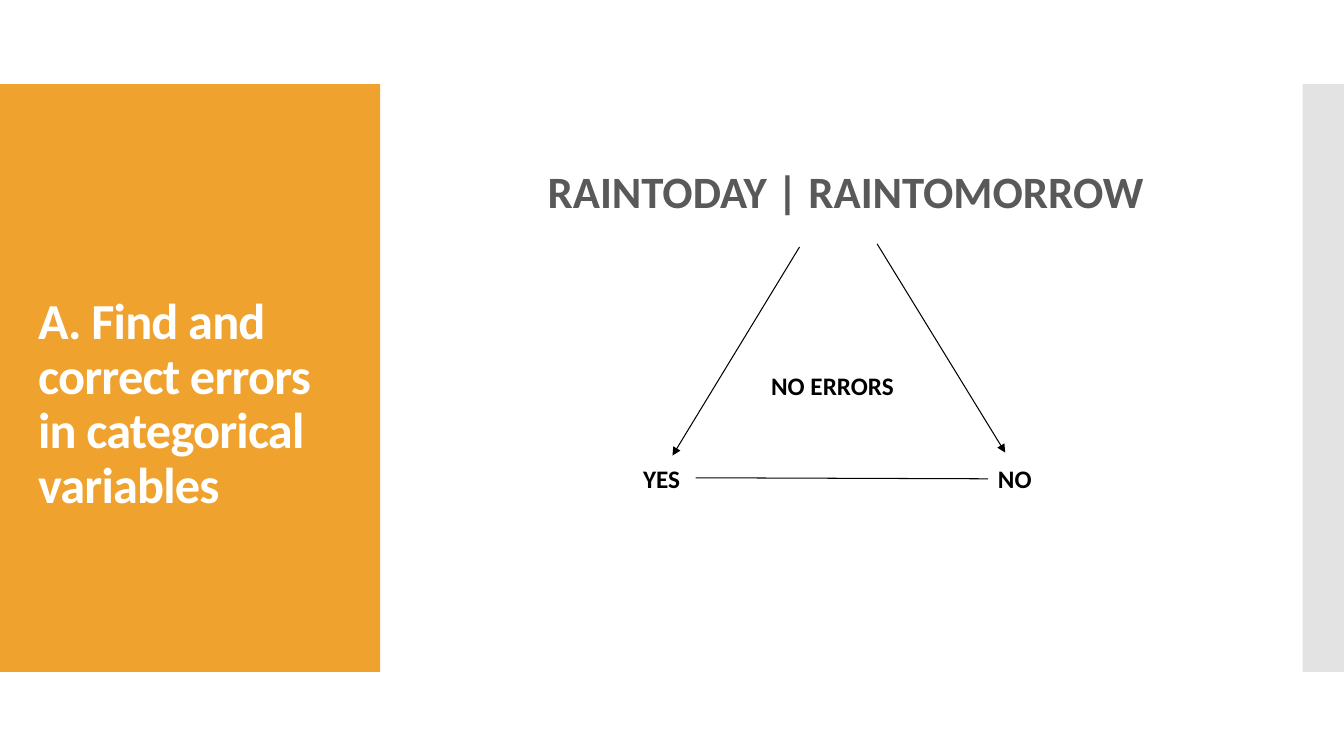
from pptx import Presentation
from pptx.dml.color import RGBColor
from pptx.enum.shapes import MSO_CONNECTOR, MSO_SHAPE
from pptx.enum.text import MSO_ANCHOR, PP_ALIGN
from pptx.oxml.ns import qn
from pptx.util import Inches, Pt
from lxml.etree import SubElement

ORANGE = RGBColor(0xF0, 0xA2, 0x2E)
SILVER = RGBColor(0xC8, 0xC8, 0xC8)
WHITE = RGBColor(0xFF, 0xFF, 0xFF)
GRAY = RGBColor(0x59, 0x59, 0x59)
BLACK = RGBColor(0x00, 0x00, 0x00)
FONT = "Calibri"
WIDTH, HEIGHT = 13.33, 7.5


def add_band(page, box, color, opacity=100):
    left, top, width, height = map(Inches, box)
    band = page.shapes.add_shape(MSO_SHAPE.RECTANGLE, left, top, width, height)
    band.shadow.inherit = False
    band.fill.solid()
    band.fill.fore_color.rgb = color
    band.line.fill.background()
    if opacity < 100:
        tint = band.fill._xPr.find(qn("a:solidFill"))[0]
        SubElement(tint, qn("a:alpha")).set("val", str(opacity * 1000))


def add_text(page, box, text, size, color, align=PP_ALIGN.LEFT):
    frame = page.shapes.add_textbox(*map(Inches, box)).text_frame
    frame.word_wrap = True
    para = frame.paragraphs[0]
    para.alignment = align
    span = para.add_run()
    span.text = text
    span.font.name = FONT
    span.font.size = Pt(size)
    span.font.bold = True
    span.font.color.rgb = color
    return frame


def add_line(page, start, end, arrow=False):
    line = page.shapes.add_connector(
        MSO_CONNECTOR.STRAIGHT, *map(Inches, start + end))
    line.line.color.rgb = BLACK
    line.line.width = Pt(0.75)
    if arrow:
        SubElement(line.line._get_or_add_ln(), qn("a:tailEnd")).set("type", "triangle")
    SubElement(line._element.spPr, qn("a:effectLst"))


def add_title_panel(page, box):
    left, top, width, height = box
    add_band(page, box, ORANGE)
    frame = add_text(page, (left + 0.28, top + 0.4, width - 0.55, height - 0.8),
                     "A. Find and correct errors in categorical variables", 36, WHITE)
    frame.vertical_anchor = MSO_ANCHOR.MIDDLE
    frame.margin_top = Inches(0.59)  # sets the title one line lower
    para = frame.paragraphs[0]
    para.line_spacing = 0.9
    para.runs[0].font._element.set("spc", "-60")


def add_triangle(page, box):
    left, top, width, height = box
    label_top = top + 2.97

    # Arrows from the heading to both values
    add_line(page, (left + 2.97, top + 0.87), (left + 1.71, top + 2.94), arrow=True)
    add_line(page, (left + 3.74, top + 0.84), (left + 5.01, top + 2.91), arrow=True)

    # Heading
    add_text(page, (left, top, width, 0.94), "RAINTODAY | RAINTOMORROW",
             32, GRAY, PP_ALIGN.CENTER)

    # Values, joined by the base line
    for text, offset in (("YES", 1.32), ("NO", 4.84)):
        add_text(page, (left + offset, label_top, 0.7, 0.4), text, 18, BLACK)
    base = top + height
    add_line(page, (left + 1.94, base - 0.01), (left + 4.84, base))

    # Result in the middle
    add_text(page, (left + 2.59, top + 2.04, 1.68, 0.4), "NO ERRORS", 18, BLACK)


def main():
    deck = Presentation()
    deck.slide_width, deck.slide_height = Inches(WIDTH), Inches(HEIGHT)
    page = deck.slides.add_slide(deck.slide_layouts[6])

    band_top = HEIGHT / 9
    band_height = HEIGHT * 7 / 9
    add_title_panel(page, (0, band_top, 3.77, band_height))
    add_band(page, (WIDTH - 0.41, band_top, 0.41, band_height), SILVER, opacity=50)
    add_triangle(page, (4.96, 1.58, 6.86, 3.17))

    deck.save("out.pptx")


if __name__ == "__main__":
    main()
